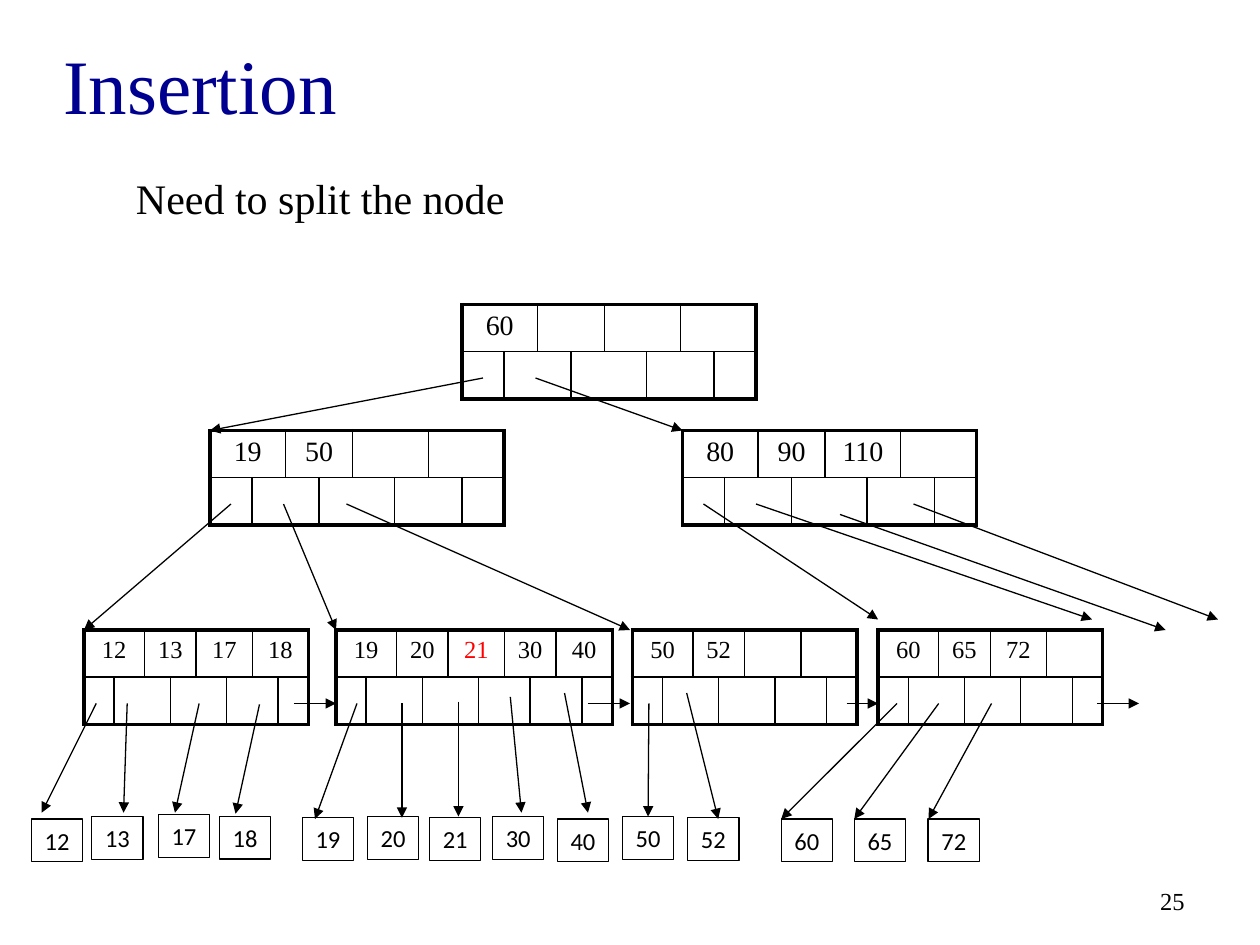
from lxml.etree import SubElement
from pptx import Presentation
from pptx.dml.color import RGBColor
from pptx.enum.shapes import MSO_CONNECTOR as Connector, MSO_SHAPE as Shape
from pptx.enum.text import MSO_ANCHOR as Anchor, MSO_AUTO_SIZE as AutoSize, PP_ALIGN as Align
from pptx.oxml.ns import qn
from pptx.util import Pt

SERIF, SANS = "Times New Roman", "Calibri"
BLACK, NAVY, RED = "000000", "000090", "FF0000"
ROW_HEIGHT = 27
INNER_STYLE = {"size": 16, "wide": 24, "narrow": 19.2}
LEAF_STYLE = {"size": 14, "wide": 17.3, "narrow": 14.8}
NEW_KEY = "21"

INNER_NODES = [
    (264, 174, ["60", "", "", ""]),
    (120, 246, ["19", "50", "", ""]),
    (390, 246, ["80", "90", "110", ""]),
]
LEAF_NODES = [
    (48, 360, ["12", "13", "17", "18"]),
    (192, 360, ["19", "20", "21", "30", "40"]),
    (361.4, 360, ["50", "52", "", ""]),
    (501.8, 360, ["60", "65", "72", ""]),
]
RECORDS = [
    ("12", 18, 468), ("13", 52.5, 466.6), ("17", 90.5, 465.6), ("18", 125.4, 466.4),
    ("19", 172.8, 467.3), ("20", 210, 466.6), ("21", 245.5, 467.3), ("30", 281.5, 466.6),
    ("40", 318.5, 468), ("50", 355.7, 466.6), ("52", 393, 467.3),
    ("60", 446.4, 468), ("65", 488.2, 468), ("72", 530.4, 468),
]
CHILD_ARROWS = [
    (276, 216, 120, 246), (306, 216, 390, 246),
    (132, 288, 48, 360), (162, 288, 192, 360), (198, 288, 360, 360),
    (402, 288, 501.8, 354), (432, 288, 624, 354),
    (480, 294, 666, 360), (522, 288, 696, 354),
]
SIBLING_ARROWS = [
    (168, 402, 192, 402), (336, 402, 360, 402),
    (483.8, 402, 501.8, 402), (626.8, 402, 650.9, 402),
]
RECORD_ARROWS = [
    (55, 402, 23.8, 464.4), (72.7, 402, 70.6, 464.4), (113.8, 402, 100, 464.4),
    (148.3, 402.5, 134.6, 465), (204, 402, 180, 468), (229.7, 402, 229.7, 467.3),
    (262, 401, 262, 466.6), (291.6, 398.2, 298, 464.4), (322.6, 396, 336, 464.4),
    (370.8, 402, 370.8, 468), (392.4, 396, 410.4, 468), (512.6, 402, 446.4, 468),
    (536.4, 402, 488.2, 468), (566.6, 402, 530.6, 468),
]


def color(value):
    return RGBColor.from_string(value)


def write(frame, text, size, font=SERIF, ink=BLACK, align=Align.LEFT):
    frame.text = text
    para = frame.paragraphs[0]
    para.alignment = align
    for span in para.runs:
        span.font.size, span.font.name = Pt(size), font
        span.font.color.rgb = color(ink)
    return para


def add_label(page, text, left, top, width, height, size, align=Align.LEFT):
    box = page.shapes.add_textbox(Pt(left), Pt(top), Pt(width), Pt(height))
    write(box.text_frame, text, size, align=align)
    return box.text_frame


def set_borders(cell, widths):
    properties = cell._tc.get_or_add_tcPr()
    for index, (side, width) in enumerate(widths.items()):
        line = properties.makeelement(qn("a:ln" + side), {"w": str(Pt(width))})
        fill = SubElement(line, qn("a:solidFill"))
        SubElement(fill, qn("a:srgbClr"), val=BLACK)
        properties.insert(index, line)


def add_node(page, left, top, keys, style):
    count = 2 * len(keys)
    widths = [style["wide" if c in (0, 4, count - 1) else "narrow"] for c in range(count)]
    table = page.shapes.add_table(
        2, count, Pt(left), Pt(top), Pt(sum(widths)), Pt(2 * ROW_HEIGHT)).table
    table.first_row = table.horz_banding = False
    for column, width in zip(table.columns, widths):
        column.width = Pt(width)
    for row in table.rows:
        row.height = Pt(ROW_HEIGHT)

    key_spans = [(c, c + 1) for c in range(0, count, 2)]
    pointer_spans = [(0, 0)] + [(c, c + 1) for c in range(1, count - 1, 2)] + [(count - 1, count - 1)]
    rows = [(key_spans, keys), (pointer_spans, [""] * len(pointer_spans))]
    for r, (spans, texts) in enumerate(rows):
        for (first, last), text in zip(spans, texts):
            cell = table.cell(r, first)
            if last > first:
                cell.merge(table.cell(r, last))
            cell.fill.background()
            set_borders(cell, {
                "L": 2.25 if first == 0 else 1,
                "R": 2.25 if last == count - 1 else 1,
                "T": 2.25 if r == 0 else 1,
                "B": 2.25 if r == 1 else 1,
            })
            ink = RED if text == NEW_KEY else BLACK
            para = write(cell.text_frame, text, style["size"], ink=ink, align=Align.CENTER)
            if text:
                para.space_before = Pt(3)
            else:
                SubElement(para._p, qn("a:endParaRPr"), sz=str(style["size"] * 100))


def add_record(page, text, left, top):
    box = page.shapes.add_shape(Shape.RECTANGLE, Pt(left), Pt(top), Pt(29.3), Pt(24.5))
    box.shadow.inherit = False
    box.fill.background()
    box.line.color.rgb = color(BLACK)
    box.line.width = Pt(0.75)
    frame = box.text_frame
    frame.word_wrap = False
    frame.vertical_anchor = Anchor.MIDDLE
    write(frame, text, 14, SANS, align=Align.CENTER)
    return box


def add_arrow(page, x1, y1, x2, y2, boxes):
    arrow = page.shapes.add_connector(Connector.STRAIGHT, Pt(x1), Pt(y1), Pt(x2), Pt(y2))
    arrow.line.color.rgb = color(BLACK)
    arrow.line.width = Pt(0.75)
    SubElement(arrow.line._get_or_add_ln(), qn("a:tailEnd"), type="triangle")
    SubElement(arrow._element.spPr, qn("a:effectLst"))
    for box in boxes:
        middle = box.left + box.width // 2
        if abs(middle - Pt(x2)) < Pt(1.5) and abs(box.top - Pt(y2)) < Pt(1.5):
            arrow.end_connect(box, 0)


def main():
    """Build the slide on splitting a B+ tree node during insertion."""
    deck = Presentation()
    deck.slide_width, deck.slide_height = Pt(720), Pt(540)
    page = deck.slides.add_slide(deck.slide_layouts[5])

    title = page.shapes.title
    title.left, title.top, title.width, title.height = Pt(28.8), Pt(8), Pt(648), Pt(80)
    title.text_frame.vertical_anchor = Anchor.MIDDLE
    write(title.text_frame, "Insertion", 44, ink=NAVY)

    note = add_label(page, "Need to split the node", 70.6, 95, 228, 36, 24)
    note.word_wrap = False
    note.auto_size = AutoSize.SHAPE_TO_FIT_TEXT
    number = add_label(page, "25", 516, 500.4, 168, 28.8, 14, Align.RIGHT)
    number.word_wrap = True
    number.vertical_anchor = Anchor.MIDDLE

    for nodes, style in ((INNER_NODES, INNER_STYLE), (LEAF_NODES, LEAF_STYLE)):
        for left, top, keys in nodes:
            add_node(page, left, top, keys, style)
    boxes = [add_record(page, *record) for record in RECORDS]
    for ends in CHILD_ARROWS + SIBLING_ARROWS + RECORD_ARROWS:
        add_arrow(page, *ends, boxes)

    deck.save("out.pptx")


if __name__ == "__main__":
    main()
